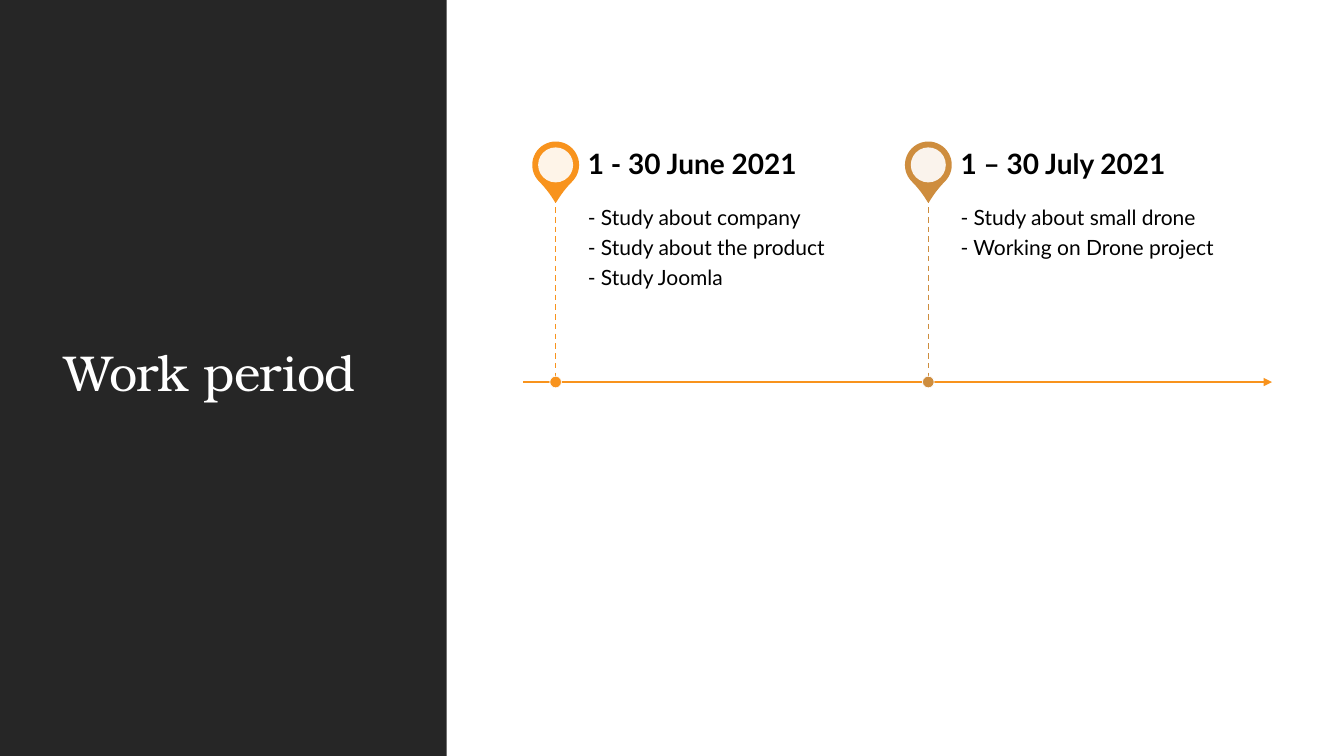
import pptx
import pptx.util
from dataclasses import dataclass
from lxml import etree
from pptx.dml.color import RGBColor
from pptx.enum.dml import MSO_LINE
from pptx.enum.shapes import MSO_CONNECTOR, MSO_SHAPE
from pptx.enum.text import MSO_ANCHOR, MSO_AUTO_SIZE, PP_ALIGN
from pptx.oxml.ns import qn

Pt = pptx.util.Pt


@dataclass
class Theme:
    dark: str = "262626"
    white: str = "FFFFFF"
    black: str = "000000"
    orange: str = "F8931D"
    bronze: str = "CE8D3E"
    serif: str = "TeX Gyre Bonum"
    sans: str = "Lato"
    title: int = 36
    head: int = 20
    body: int = 15


theme = Theme()
deck = pptx.Presentation()
deck.slide_width, deck.slide_height = Pt(960), Pt(540)
slide = deck.slides.add_slide(deck.slide_layouts.get_by_name("Comparison"))
shapes = slide.shapes


def add_mark(kind, mid, top, size, fill, edge=None, width=0):
    """Add a square shape centred on mid."""
    mark = shapes.add_shape(kind, Pt(mid - size / 2), Pt(top), Pt(size), Pt(size))
    mark.shadow.inherit = False
    mark.fill.solid()
    mark.fill.fore_color.rgb = RGBColor.from_string(fill)
    if edge:
        mark.line.color.rgb = RGBColor.from_string(edge)
        mark.line.width = Pt(width)
    else:
        mark.line.fill.background()
    return mark


def add_rule(start, end, color, width):
    rule = shapes.add_connector(MSO_CONNECTOR.STRAIGHT, *map(Pt, start + end))
    rule.line.color.rgb = RGBColor.from_string(color)
    rule.line.width = Pt(width)
    etree.SubElement(rule._element.spPr, qn("a:effectLst"))
    return rule


# Dark panel behind the title
panel = shapes.add_shape(MSO_SHAPE.RECTANGLE, 0, 0, Pt(319), Pt(540))
panel.shadow.inherit = False
panel.fill.solid()
panel.fill.fore_color.rgb = RGBColor.from_string(theme.dark)
panel.line.fill.background()
shapes._spTree.insert(2, panel._element)

title = shapes.title
title.left, title.top, title.width, title.height = map(Pt, (38.9, 41, 242.6, 454.3))
frame = title.text_frame
frame.text = "Work period"
frame.auto_size = MSO_AUTO_SIZE.NONE
frame.vertical_anchor = MSO_ANCHOR.MIDDLE
line = frame.paragraphs[0]
line.alignment = PP_ALIGN.LEFT
line.line_spacing = 0.9
run = line.runs[0]
run.font.name, run.font.size = theme.serif, Pt(theme.title)
run.font.color.rgb = RGBColor.from_string(theme.white)
run._r.get_or_add_rPr().set("spc", "-50")

# Time axis
level = 272.9
axis = add_rule((373.7, level), (908.6, level), theme.orange, 1.5)
etree.SubElement(axis.line._get_or_add_ln(), qn("a:tailEnd"), type="triangle")

# Months: centre, colour, heading, tasks
months = [
    (396.9, theme.orange, "1 - 30 June 2021",
     ["- Study about company", "- Study about the product", "- Study Joomla"]),
    (663.1, theme.bronze, "1 – 30 July 2021",
     ["- Study about small drone", "- Working on Drone project"]),
]
for order, (mid, color, head, tasks) in enumerate(months):
    stem = add_rule((mid, 141.1), (mid, level), color, 1)
    stem.line.dash_style = MSO_LINE.DASH
    add_mark(MSO_SHAPE.OVAL, mid, level - 4.2, 8.4, color, theme.white, 0.5)
    pin = add_mark(MSO_SHAPE.TEAR, mid, 101.7, 32.2, color, color, 1.25)
    pin.rotation = 135
    pin.adjustments[0] = 1.15
    hole = add_mark(MSO_SHAPE.OVAL, mid, 105.3, 25, theme.white)
    tint = hole.fill._xPr.find(qn("a:solidFill"))[0]
    etree.SubElement(tint, qn("a:alpha"), val="90000")

    # Each month owns a heading and a list placeholder
    parts = [
        (1, 95, 46.1, [head], theme.head, True, MSO_ANCHOR.MIDDLE, (0, 10.1, 0)),
        (2, 141.1, 131.8, tasks, theme.body, False, MSO_ANCHOR.TOP, (7.2, 7.2, 11.5)),
    ]
    for slot, top, high, lines, size, bold, anchor, inset in parts:
        box = slide.placeholders[2 * order + slot]
        box.left, box.top, box.width, box.height = map(Pt, (mid + 23, top, 221.8, high))
        frame = box.text_frame
        frame.text = "\n".join(lines)
        frame.auto_size = MSO_AUTO_SIZE.NONE
        frame.word_wrap = True
        frame.vertical_anchor = anchor
        frame.margin_left = 0
        frame.margin_top, frame.margin_right, frame.margin_bottom = map(Pt, inset)
        for line in frame.paragraphs:
            props = line._p.get_or_add_pPr()
            props.set("marL", "0")
            props.set("indent", "0")
            etree.SubElement(props, qn("a:buNone"))
            line.alignment = PP_ALIGN.LEFT
            line.line_spacing = 0.9
            line.space_before = Pt(0)
            line.space_after = Pt(0.35 * size)
            font = line.runs[0].font
            font.name, font.size, font.bold = theme.sans, Pt(size), bold
            font.color.rgb = RGBColor.from_string(theme.black)

deck.save("out.pptx")
